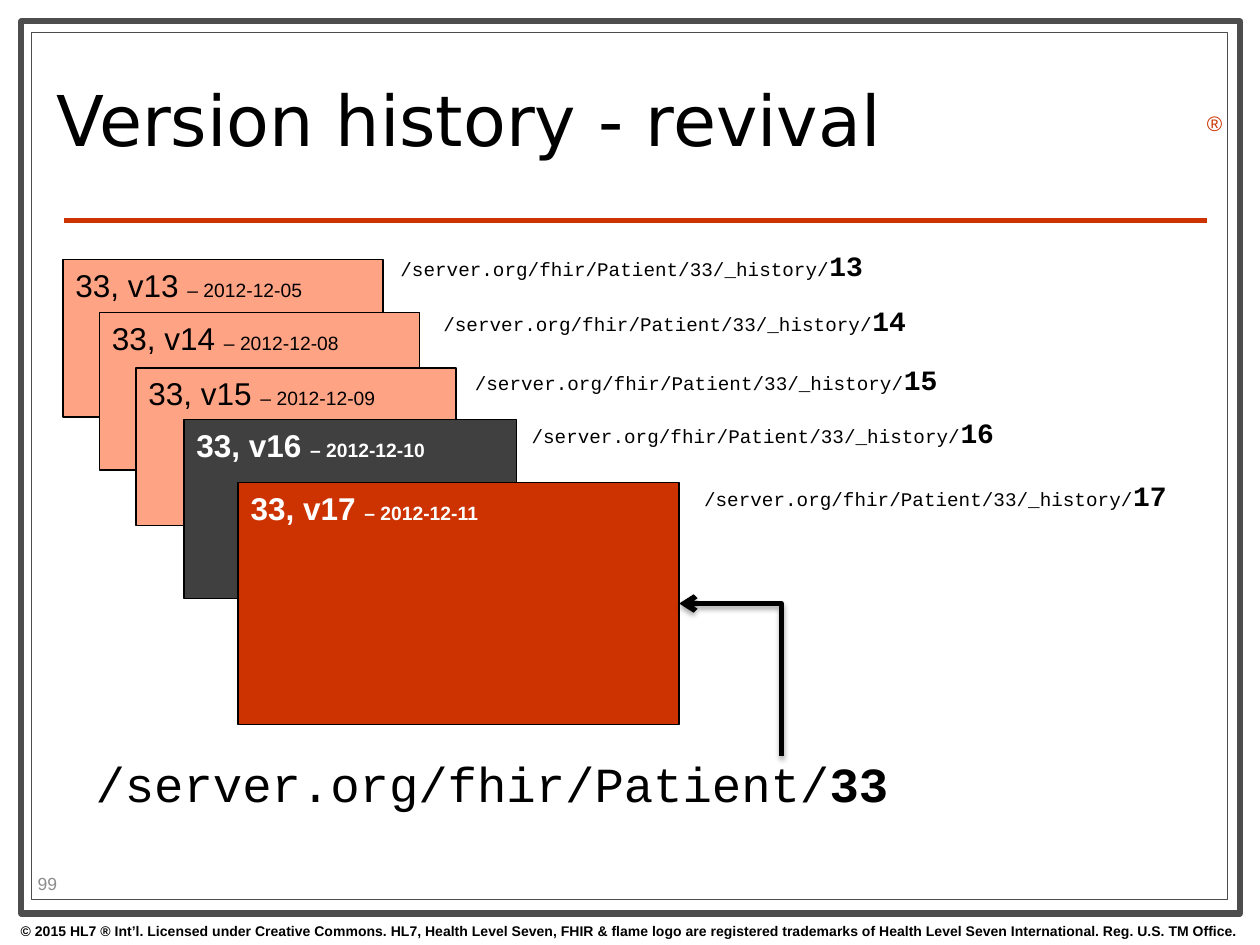
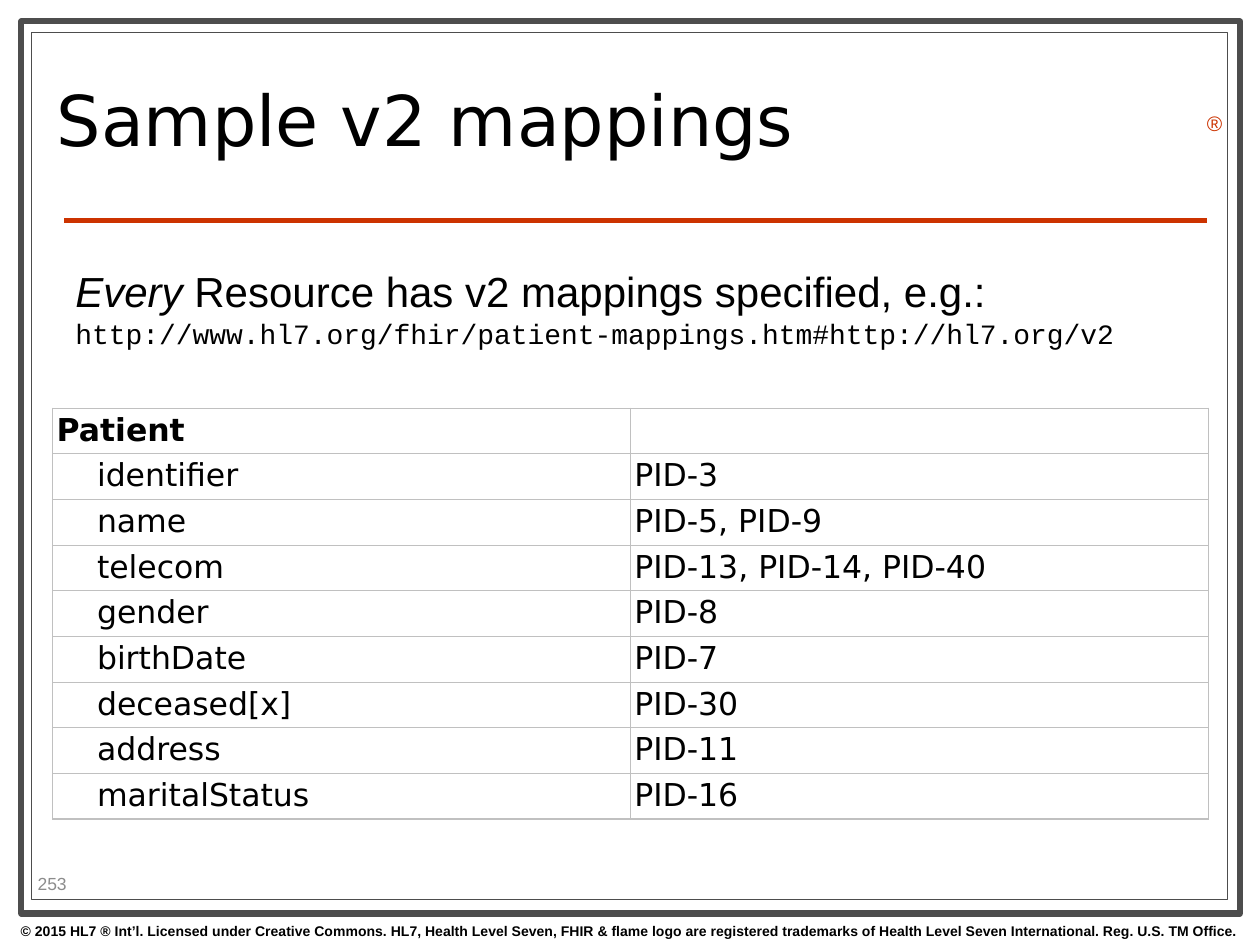
"""Build two training slides: version history and sample mappings."""
from dataclasses import dataclass

from lxml import etree
from pptx import Presentation
from pptx.dml.color import RGBColor
from pptx.enum.shapes import MSO_CONNECTOR, MSO_SHAPE
from pptx.enum.text import MSO_ANCHOR, PP_ALIGN
from pptx.oxml.ns import qn
from pptx.util import Inches, Pt

RECT, LINE, ELBOW = MSO_SHAPE.RECTANGLE, MSO_CONNECTOR.STRAIGHT, MSO_CONNECTOR.ELBOW
TOP, MIDDLE = MSO_ANCHOR.TOP, MSO_ANCHOR.MIDDLE
LEFT, CENTER = PP_ALIGN.LEFT, PP_ALIGN.CENTER

HEX = {
    "white": "FFFFFF", "black": "000000", "frame": "4D4D4D", "red": "CC3300",
    "peach": "FFA385", "dark": "404040", "gray": "8C8C8C", "grid": "C0C0C0",
}
SANS, MONO, HEAD = "Arial", "Courier New", "DejaVu Sans"
FOOT = (
    "© 2015 HL7 ® Int’l. Licensed under Creative Commons. HL7, Health Level Seven, "
    "FHIR & flame logo are registered trademarks of Health Level Seven International. "
    "Reg. U.S. TM Office."
)
BASE = "/server.org/fhir/Patient/"


@dataclass
class Run:
    """A piece of text with one look."""
    text: str
    size: float
    name: str = SANS
    ink: str = "black"
    bold: bool = False
    italic: bool = False


@dataclass
class Card:
    """One stored version and the place of its address."""
    num: int
    day: str
    box: tuple[float, float, float, float]
    link: tuple[float, float, float]
    fill: str = "peach"
    ink: str = "black"
    bold: bool = False


CARDS = [
    Card(13, "05", (0.5, 2.06, 2.54, 1.25), (3.08, 1.92, 4.46)),
    Card(14, "08", (0.79, 2.48, 2.54, 1.25), (3.42, 2.36, 4.58)),
    Card(15, "09", (1.08, 2.92, 2.54, 1.25), (3.67, 2.83, 4.55)),
    Card(16, "10", (1.46, 3.33, 2.64, 1.42), (4.12, 3.25, 4.38), "dark", "white", True),
    Card(17, "11", (1.89, 3.83, 3.5, 1.92), (5.49, 3.75, 4.1), "red", "white", True),
]
ROWS = [
    ("Patient", ""),
    ("identifier", "PID-3"),
    ("name", "PID-5, PID-9"),
    ("telecom", "PID-13, PID-14, PID-40"),
    ("gender", "PID-8"),
    ("birthDate", "PID-7"),
    ("deceased[x]", "PID-30"),
    ("address", "PID-11"),
    ("maritalStatus", "PID-16"),
]


def tint(key: str) -> RGBColor:
    """Return the named colour."""
    return RGBColor.from_string(HEX[key])


def inch(*vals: float) -> list:
    """Turn numbers into lengths."""
    return [Inches(val) for val in vals]


def apply(thing, form: dict) -> None:
    """Set each format value on a thing."""
    for key, val in form.items():
        setattr(thing, key, val)


def write(frame, paras: list[list[Run]], anchor=TOP, align=LEFT) -> None:
    """Fill a text frame with formatted runs."""
    apply(frame, {"word_wrap": True, "vertical_anchor": anchor})
    for pos, runs in enumerate(paras):
        para = frame.add_paragraph() if pos else frame.paragraphs[0]
        para.alignment = align
        for run in runs:
            part = para.add_run()
            part.text = run.text
            apply(part.font, {"name": run.name, "size": Pt(run.size),
                              "bold": run.bold, "italic": run.italic})
            part.font.color.rgb = tint(run.ink)


def label(slide, at: tuple, paras: list[list[Run]], anchor=TOP, align=LEFT) -> None:
    """Add a text box."""
    write(slide.shapes.add_textbox(*inch(*at)).text_frame, paras, anchor, align)


def panel(slide, at: tuple, fill: str, edge: str, width: float):
    """Add a filled and outlined rectangle."""
    shape = slide.shapes.add_shape(RECT, *inch(*at))
    shape.shadow.inherit = False
    shape.fill.solid()
    shape.fill.fore_color.rgb = tint(fill)
    shape.line.color.rgb = tint(edge)
    shape.line.width = Pt(width)
    return shape


def wire(slide, kind, ends: tuple, ink: str):
    """Add a thick connector and return it with its effect list."""
    line = slide.shapes.add_connector(kind, *inch(*ends))
    line.line.color.rgb = tint(ink)
    line.line.width = Pt(3)
    return line, etree.SubElement(line._element.spPr, qn("a:effectLst"))


def dress(slide, layout) -> None:
    """Draw the shared frame, rule and footer and move them to the layout."""
    for spare in list(layout.placeholders)[1:]:
        layout.shapes._spTree.remove(spare._element)
    panel(slide, (0.17, 0.17, 9.67, 7.08), "white", "frame", 3.5)
    panel(slide, (0.25, 0.26, 9.49, 6.88), "white", "frame", 0.75)
    wire(slide, LINE, (0.51, 1.75, 9.58, 1.75), "red")
    label(slide, (0, 7.27, 10, 0.23), [[Run(FOOT, 8, bold=True)]], align=CENTER)
    label(slide, (9.48, 0.83, 0.31, 0.3), [[Run("®", 12, ink="red")]])
    for shape in list(slide.shapes)[1:]:
        layout.shapes._spTree.append(shape._element)


def start(slide, title: str, page: int) -> None:
    """Set the title and the page number."""
    head = slide.shapes.title
    apply(head, dict(zip(("left", "top", "width", "height"), inch(0.35, 0.36, 7.17, 1.29))))
    write(head.text_frame, [[Run(title, 40, HEAD)]], MIDDLE)
    head.text_frame.paragraphs[0].line_spacing = 0.8
    label(slide, (0.2, 6.89, 0.79, 0.24), [[Run(str(page), 10, ink="gray")]], MIDDLE)


def arrow(slide) -> None:
    """Bend a shadowed arrow from the address up to the newest card."""
    line, glow = wire(slide, ELBOW, (5.19, 5.8, 6.4, 4.99), "black")
    props = line._element.spPr
    props.find(qn("a:xfrm")).set("rot", str(270 * 60000))
    props.find(qn("a:prstGeom")).set("prst", "bentConnector2")
    etree.SubElement(props.find(qn("a:ln")), qn("a:tailEnd"), type="arrow")
    shade = etree.SubElement(glow, qn("a:outerShdw"), blurRad=str(Pt(3.1)), dist=str(Pt(1.8)),
                             dir=str(90 * 60000), rotWithShape="0")
    ink = etree.SubElement(shade, qn("a:srgbClr"), val=HEX["black"])
    etree.SubElement(ink, qn("a:alpha"), val="35000")


def past(slide) -> None:
    """Draw the stack of versions with their addresses."""
    start(slide, "Version history - revival", 99)
    for card in CARDS:
        shape = panel(slide, card.box, card.fill, "black", 0.75)
        look = {"ink": card.ink, "bold": card.bold}
        write(shape.text_frame, [[Run(f"33, v{card.num} ", 18, **look),
                                  Run(f"– 2012-12-{card.day}", 11, **look)]])
    for card in CARDS:
        label(slide, (*card.link, 0.37), [[Run(f"{BASE}33/_history/", 11, MONO),
                                           Run(str(card.num), 16, MONO, bold=True)]])
    label(slide, (0.66, 5.93, 6.88, 0.57), [[Run(BASE, 28, MONO), Run("33", 28, MONO, bold=True)]])
    arrow(slide)


def edge(cell) -> None:
    """Rule all four sides of a cell."""
    props = cell._tc.get_or_add_tcPr()
    for side in "LRTB":
        line = etree.SubElement(props, qn(f"a:ln{side}"), w=str(Pt(0.75)))
        fill = etree.SubElement(line, qn("a:solidFill"))
        etree.SubElement(fill, qn("a:srgbClr"), val=HEX["grid"])


def maps(slide) -> None:
    """Draw the mapping table and its lead text."""
    start(slide, "Sample v2 mappings", 253)
    label(slide, (0.5, 2.06, 9.3, 0.77), [
        [Run("Every", 24, italic=True), Run(" Resource has v2 mappings specified, e.g.:", 24)],
        [Run("http://www.hl7.org/fhir/patient-mappings.htm#http://hl7.org/v2", 16, MONO)],
    ])
    at = inch(0.42, 3.24, 9.17, 3.26)
    table = slide.shapes.add_table(len(ROWS), 2, *at).table
    apply(table, {"first_row": False, "horz_banding": False})
    pad = Inches(0.03)
    for row, pair in enumerate(ROWS):
        for col, text in enumerate(pair):
            cell = table.cell(row, col)
            child = row > 0 and col == 0
            apply(cell, {"margin_left": Inches(0.35) if child else pad, "margin_right": pad,
                         "margin_top": pad, "margin_bottom": pad})
            edge(cell)
            cell.fill.solid()
            cell.fill.fore_color.rgb = tint("white")
            if text:
                write(cell.text_frame, [[Run(text, 18, HEAD, bold=row == 0)]])


def main() -> None:
    """Build and save the deck."""
    deck = Presentation()
    apply(deck, {"slide_width": Inches(10), "slide_height": Inches(7.5)})
    layout = deck.slide_layouts[5]
    first, last = (deck.slides.add_slide(layout) for _ in range(2))
    dress(first, layout)
    past(first)
    maps(last)
    deck.save("out.pptx")


if __name__ == "__main__":
    main()
